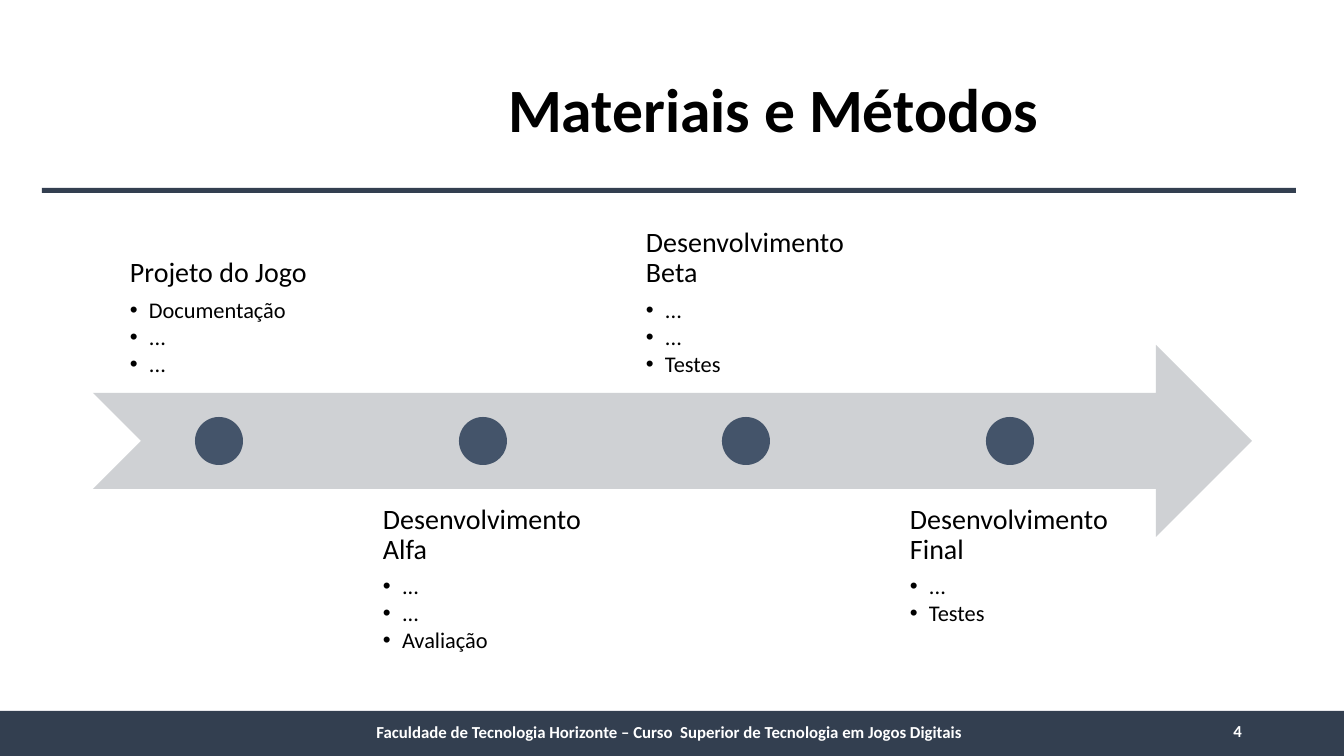
from dataclasses import dataclass

from lxml import etree
from pptx import Presentation
from pptx import util as u
from pptx.dml.color import RGBColor
from pptx.enum import shapes, text
from pptx.oxml.ns import qn

WIDTH, HEIGHT = 1344, 756
EMU_PER_PIXEL = 12192000 / WIDTH


def px(length):
    return u.Emu(round(length * EMU_PER_PIXEL))


@dataclass(frozen=True)
class Theme:
    font: str = "Calibri"
    ink: str = "000000"
    light: str = "FFFFFF"
    bar: str = "333F50"
    arrow: str = "CFD1D4"
    dot: str = "44546A"
    title_size: int = 44
    heading_size: int = 20
    item_size: int = 16
    footer_size: int = 12


class SlideBuilder:
    def __init__(self, slide, theme):
        self.slide = slide
        self.theme = theme

    def place(self, shape, box):
        shape.left, shape.top, shape.width, shape.height = map(px, box)

    def format_runs(self, paragraph, size, color, bold=False):
        for run in paragraph.runs:
            font = run.font
            font.name, font.size, font.bold = self.theme.font, u.Pt(size), bold
            font.color.rgb = RGBColor.from_string(color)

    def prepare_frame(self, frame, anchor):
        frame.word_wrap = True
        frame.auto_size = text.MSO_AUTO_SIZE.NONE
        frame.vertical_anchor = anchor

    def shape(self, kind, box, color):
        shape = self.slide.shapes.add_shape(kind, *map(px, box))
        shape.shadow.inherit = False
        shape.fill.solid()
        shape.fill.fore_color.rgb = RGBColor.from_string(color)
        shape.line.fill.background()

    def title(self, wording, box):
        shape = self.slide.shapes.title
        self.place(shape, box)
        frame = shape.text_frame
        frame.text = wording
        self.prepare_frame(frame, text.MSO_ANCHOR.MIDDLE)
        paragraph = frame.paragraphs[0]
        paragraph.alignment = text.PP_ALIGN.CENTER
        paragraph.line_spacing = 0.9
        self.format_runs(paragraph, self.theme.title_size, self.theme.ink, True)

    def footer_text(self, wording, box, alignment):
        frame = self.slide.shapes.add_textbox(*map(px, box)).text_frame
        frame.text = wording
        self.prepare_frame(frame, text.MSO_ANCHOR.MIDDLE)
        paragraph = frame.paragraphs[0]
        paragraph.alignment = alignment
        self.format_runs(paragraph, self.theme.footer_size, self.theme.light, True)

    def bullet(self, paragraph, character, indent):
        properties = paragraph._p.get_or_add_pPr()
        properties.set("marL", str(px(indent)))
        properties.set("indent", str(-px(indent)))
        if character:
            etree.SubElement(properties, qn("a:buFont")).set("typeface", "Arial")
            etree.SubElement(properties, qn("a:buChar")).set("char", character)
        else:
            etree.SubElement(properties, qn("a:buNone"))

    def stage(self, placeholder, heading, items, box, anchor, inset):
        self.place(placeholder, box)
        frame = placeholder.text_frame
        frame.text = "\n".join([heading, *items])
        self.prepare_frame(frame, anchor)
        frame.margin_left = px(inset)
        frame.margin_top = frame.margin_right = frame.margin_bottom = px(16)
        for index, paragraph in enumerate(frame.paragraphs):
            is_item = index > 0
            paragraph.level = int(is_item)
            paragraph.alignment = text.PP_ALIGN.LEFT
            paragraph.line_spacing = 0.9
            paragraph.space_before = u.Pt(0)
            paragraph.space_after = u.Pt(2 if is_item else 7)
            self.bullet(paragraph, "•" if is_item else None, 19 if is_item else 0)
            size = self.theme.item_size if is_item else self.theme.heading_size
            self.format_runs(paragraph, size, self.theme.ink)


presentation = Presentation()
presentation.slide_width, presentation.slide_height = px(WIDTH), px(HEIGHT)
# The comparison layout has a title and four body placeholders
slide = presentation.slides.add_slide(presentation.slide_layouts[4])
theme = Theme()
builder = SlideBuilder(slide, theme)
Kind = shapes.MSO_SHAPE

# Header and footer bars
builder.shape(Kind.RECTANGLE, (0, 711, WIDTH, 45), theme.bar)
builder.shape(Kind.RECTANGLE, (42, 188, 1254, 5), theme.bar)
builder.title("Materiais e Métodos", (295, 40, 957, 146))

# Timeline: stages alternate above and below the arrow
builder.shape(Kind.NOTCHED_RIGHT_ARROW, (93, 345, 1159, 192), theme.arrow)
stages = [
    ("Projeto do Jogo", ["Documentação", "...", "..."], 37),
    ("Desenvolvimento Alfa", ["...", "...", "Avaliação"], 26),
    ("Desenvolvimento Beta", ["...", "...", "Testes"], 26),
    ("Desenvolvimento Final", ["...", "Testes"], 26),
]
bodies = [shape for shape in slide.placeholders if shape.placeholder_format.idx > 0]
for index, (body, (heading, items, inset)) in enumerate(zip(bodies, stages)):
    left = round(93 + index * 263.7)
    above = index % 2 == 0
    top = 202 if above else 489
    anchor = text.MSO_ANCHOR.BOTTOM if above else text.MSO_ANCHOR.TOP
    builder.stage(body, heading, items, (left, top, 251, 191), anchor, inset)
    builder.shape(Kind.OVAL, (left + 102, 417, 48, 48), theme.dot)

# Footer wording and page number
builder.footer_text(
    "Faculdade de Tecnologia Horizonte – Curso  Superior de Tecnologia em Jogos Digitais",
    (295, 712, 749, 40), text.PP_ALIGN.CENTER)
builder.footer_text("4", (950, 711, 302, 40), text.PP_ALIGN.RIGHT)

presentation.save("out.pptx")
